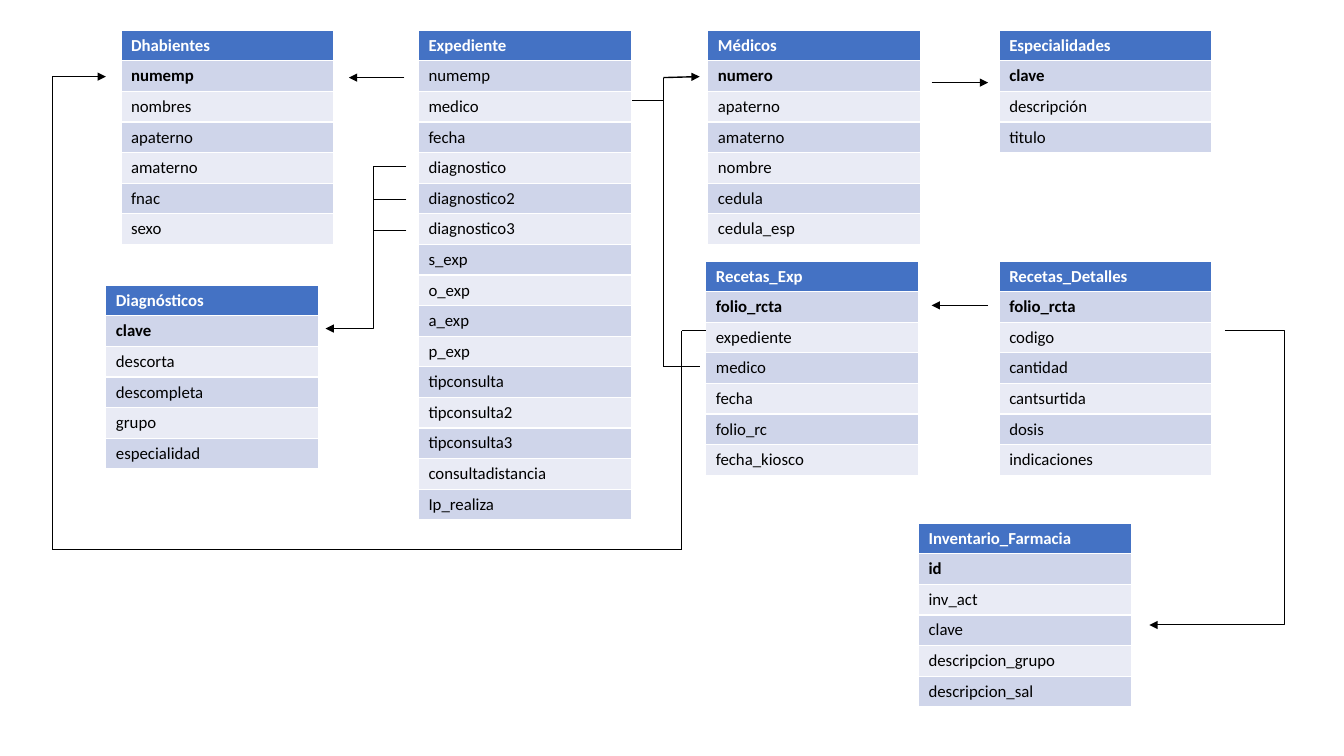
"""Build the entity diagram of a clinic database: tables and their relations."""
import pptx
import pptx.util
import pptx.dml.color
import pptx.enum.shapes
import pptx.oxml
import pptx.oxml.ns
import lxml.etree

Inches = pptx.util.Inches
Pt = pptx.util.Pt
RGB = pptx.dml.color.RGBColor.from_string
CONNECTOR = pptx.enum.shapes.MSO_CONNECTOR
qn = pptx.oxml.ns.qn

THEME = {
    "font": "Calibri", "size": 12, "header": "4472C4", "bands": ("E9EBF5", "CFD5EA"),
    "header_text": "FFFFFF", "text": "000000", "line": "000000",
}
COL_W, ROW_H = 2.11, 0.3

prs = pptx.Presentation()
prs.slide_width, prs.slide_height = Inches(13.33), Inches(7.5)
s = prs.slides.add_slide(prs.slide_layouts[6])


def add_entity(left, top, name, fields, has_key=True):
    rows = [name] + fields.split()
    frame = s.shapes.add_table(len(rows), 1, Inches(left), Inches(top),
                               Inches(COL_W), Inches(ROW_H * len(rows)))
    for i, label in enumerate(rows):
        frame.table.rows[i].height = Inches(ROW_H)
        cell = frame.table.cell(i, 0)
        cell.fill.solid()
        cell.fill.fore_color.rgb = RGB(THEME["bands"][i % 2] if i else THEME["header"])
        r = cell.text_frame.paragraphs[0].add_run()
        r.text = label
        r.font.name, r.font.size = THEME["font"], Pt(THEME["size"])
        r.font.bold = i == 0 or (i == 1 and has_key)
        r.font.color.rgb = RGB(THEME["text"] if i else THEME["header_text"])


def add_link(start, end, width=0.75, arrow=False, bend_x=None):
    kind = CONNECTOR.STRAIGHT if bend_x is None else CONNECTOR.ELBOW
    c = s.shapes.add_connector(kind, *[Inches(v) for v in start + end])
    c.line.color.rgb = RGB(THEME["line"])
    c.line.width = Pt(width)
    sp_pr = c._element.spPr
    if bend_x is not None:
        ratio = (bend_x - start[0]) / (end[0] - start[0])
        av = sp_pr.find(qn("a:prstGeom")).get_or_add_avLst()
        lxml.etree.SubElement(av, qn("a:gd"), name="adj1", fmla=f"val {round(ratio * 100000)}")
    if arrow:
        lxml.etree.SubElement(c.line._get_or_add_ln(), qn("a:tailEnd"), type="triangle")
    lxml.etree.SubElement(sp_pr, qn("a:effectLst"))


entities = [
    (4.15, 0.3, "Expediente",
     "numemp medico fecha diagnostico diagnostico2 diagnostico3 s_exp o_exp a_exp p_exp "
     "tipconsulta tipconsulta2 tipconsulta3 consultadistancia Ip_realiza", False),
    (1.2, 0.3, "Dhabientes", "numemp nombres apaterno amaterno fnac sexo"),
    (7.02, 0.3, "Médicos", "numero apaterno amaterno nombre cedula cedula_esp"),
    (1.05, 2.83, "Diagnósticos", "clave descorta descompleta grupo especialidad"),
    (9.91, 0.3, "Especialidades", "clave descripción titulo"),
    (7, 2.59, "Recetas_Exp", "folio_rcta expediente medico fecha folio_rc fecha_kiosco"),
    (9.91, 2.59, "Recetas_Detalles", "folio_rcta codigo cantidad cantsurtida dosis indicaciones"),
    (9.11, 5.19, "Inventario_Farmacia", "id inv_act clave descripcion_grupo descripcion_sal"),
]
for entity in entities:
    add_entity(*entity)

direct_links = [
    ((4.01, 0.77), (3.46, 0.77)),
    ((6.58, 0.77), (6.94, 0.76)),
    ((9.24, 0.82), (9.8, 0.82)),
    ((9.8, 3.03), (9.24, 3.03)),
]
for start, end in direct_links:
    add_link(start, end, width=1, arrow=True)

add_link((4.03, 1.65), (3.23, 3.26), arrow=True, bend_x=3.7)
for y in (1.98, 2.29):
    add_link((4.03, y), (3.7, y))
add_link((12.15, 3.28), (11.4, 6.2), arrow=True, bend_x=12.74)

doctor_routes = [
    [(6.27, 1), (6.58, 1), (6.58, 0.77)],
    [(6.94, 3.64), (6.58, 3.64), (6.58, 0.82)],
]
patient_route = [(7, 3.28), (6.76, 3.28), (6.76, 5.45), (0.52, 5.45), (0.52, 0.76), (1.05, 0.76)]
for route in doctor_routes + [patient_route]:
    for start, end in zip(route, route[1:]):
        add_link(start, end, arrow=end == patient_route[-1])

prs.save("out.pptx")
